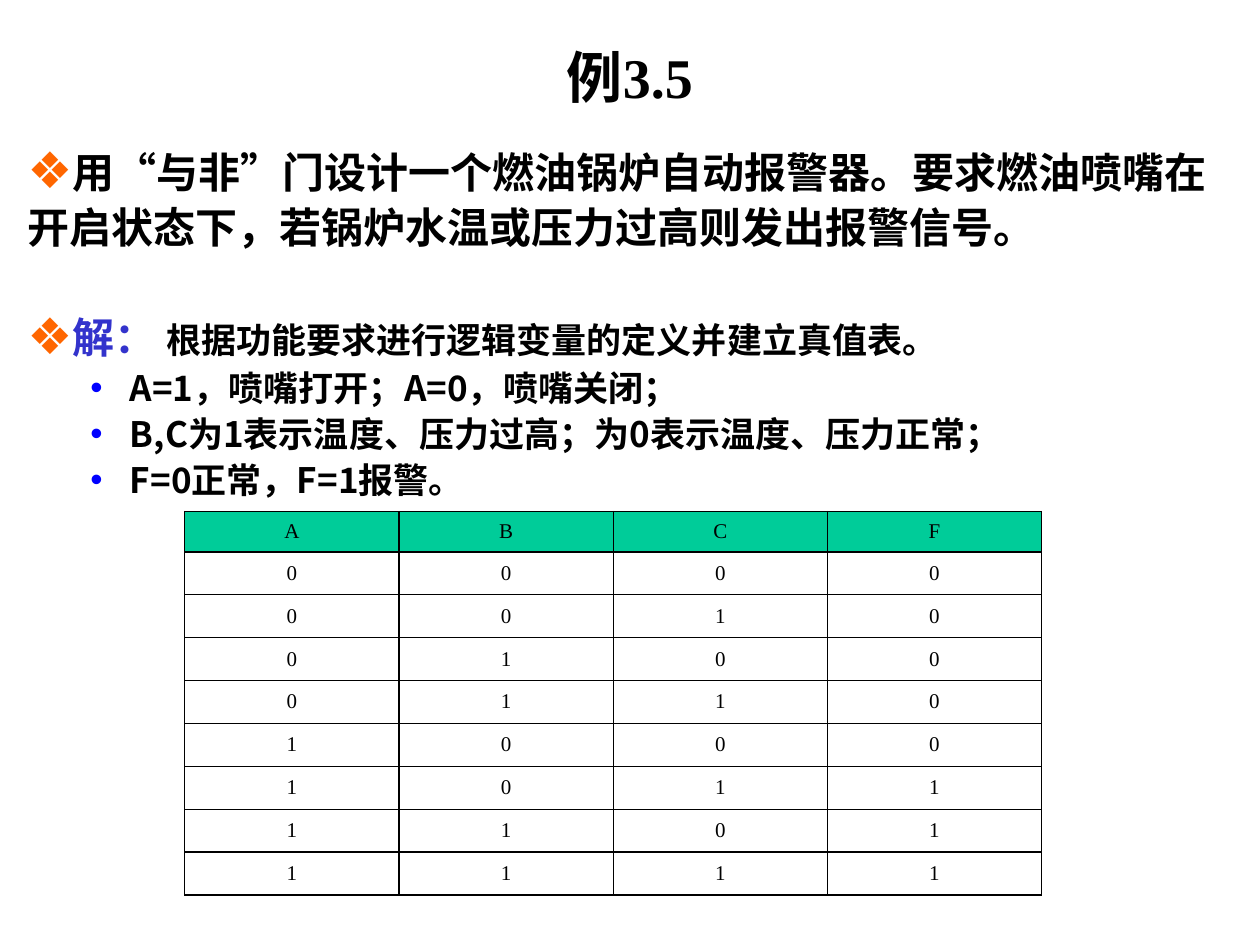
import pptx
import pptx.dml.color
import pptx.enum.text
import pptx.oxml
import pptx.oxml.ns
import pptx.util
from lxml import etree

Pt = pptx.util.Pt
Align = pptx.enum.text.PP_ALIGN
Anchor = pptx.enum.text.MSO_ANCHOR
qn = pptx.oxml.ns.qn


def color(value):
    return pptx.dml.color.RGBColor.from_string(value)


def add_text(para, text, size=20, font="Noto Sans CJK SC", fill="000000", bold=True):
    span = para.add_run()
    span.text = text
    span.font.size = Pt(size)
    span.font.name = font
    span.font.bold = bold
    span.font.color.rgb = color(fill)
    east_asian = etree.SubElement(span.font._element, qn("a:ea"))
    east_asian.set("typeface", "Noto Sans CJK SC")


class LessonSlide:
    latin = "Times New Roman"
    header_fill = "00CC99"
    ink = "000000"
    # character, colour, size in percent, left margin, first-line indent
    bullets = {0: ("❖", "FF6600", 120, 0, 0), 1: ("•", "0000FF", 100, 58.5, -22.5)}

    def __init__(self, deck):
        self.page = deck.slides.add_slide(deck.slide_layouts[1])

    def place(self, box, left, top, width, height):
        box.left, box.top, box.width, box.height = map(Pt, (left, top, width, height))
        box.text_frame.word_wrap = True
        box.text_frame.auto_size = pptx.enum.text.MSO_AUTO_SIZE.NONE

    def title(self, text, *area):
        box = self.page.shapes.title
        self.place(box, *area)
        box.text_frame.vertical_anchor = Anchor.MIDDLE
        para = box.text_frame.paragraphs[0]
        para.alignment = Align.CENTER
        add_text(para, text, size=32, font=self.latin)

    def bullet(self, para, level):
        mark, fill, percent, margin, indent = self.bullets[level]
        para.level = level
        props = para._p.get_or_add_pPr()
        props.set("marL", str(Pt(margin)))
        props.set("indent", str(Pt(indent)))
        tint = etree.SubElement(props, qn("a:buClr"))
        etree.SubElement(tint, qn("a:srgbClr")).set("val", fill)
        etree.SubElement(props, qn("a:buSzPct")).set("val", str(percent * 1000))
        etree.SubElement(props, qn("a:buChar")).set("char", mark)

    def body(self, items, *area):
        box = self.page.placeholders[1]
        self.place(box, *area)
        for index, (level, gap, spans) in enumerate(items):
            frame = box.text_frame
            para = frame.add_paragraph() if index else frame.paragraphs[0]
            para.line_spacing = 1.1
            para.space_before = Pt(gap)
            self.bullet(para, level)
            for text, style in spans:
                add_text(para, text, **style)

    def border(self, cell, side, width):
        line = etree.SubElement(cell._tc.get_or_add_tcPr(), qn("a:" + side))
        line.set("w", str(Pt(width)))
        fill = etree.SubElement(line, qn("a:solidFill"))
        etree.SubElement(fill, qn("a:srgbClr")).set("val", self.ink)

    def table(self, rows, left, top, column_width, header_height, row_height):
        count, columns = len(rows), len(rows[0])
        height = header_height + row_height * (count - 1)
        table = self.page.shapes.add_table(
            count, columns, Pt(left), Pt(top), Pt(column_width * columns), Pt(height)
        ).table
        for column in table.columns:
            column.width = Pt(column_width)
        for r, values in enumerate(rows):
            table.rows[r].height = Pt(row_height if r else header_height)
            for c, value in enumerate(values):
                cell = table.cell(r, c)
                cell.vertical_anchor = Anchor.MIDDLE
                para = cell.text_frame.paragraphs[0]
                para.alignment = Align.CENTER
                add_text(para, value, size=12, font=self.latin, bold=False)
                # Heavier rules frame the header and close the table
                self.border(cell, "lnL", 0.75)
                self.border(cell, "lnR", 0.75)
                self.border(cell, "lnT", 1 if r < 2 else 0.75)
                self.border(cell, "lnB", 1 if r in (0, count - 1) else 0.75)
                if r == 0:
                    cell.fill.solid()
                    cell.fill.fore_color.rgb = color(self.header_fill)
                else:
                    cell.fill.background()


def main():
    deck = pptx.Presentation()
    deck.slide_width, deck.slide_height = Pt(720), Pt(540)
    slide = LessonSlide(deck)

    # Heading
    slide.title("例3.5", 54, 31.5, 612, 24)

    # Problem and variable definitions
    problem = "用“与非”门设计一个燃油锅炉自动报警器。要求燃油喷嘴在开启状态下，若锅炉水温或压力过高则发出报警信号。"
    slide.body(
        [
            (0, 0, [(problem, {"size": 24})]),
            (0, 31.5, [
                ("解： ", {"size": 24, "fill": "3333CC"}),
                ("根据功能要求进行逻辑变量的定义并建立真值表。", {}),
            ]),
            (1, 0, [("A=1，喷嘴打开；A=0，喷嘴关闭；", {})]),
            (1, 0, [("B,C为1表示温度、压力过高；为0表示温度、压力正常；", {})]),
            (1, 0, [("F=0正常，F=1报警。", {})]),
        ],
        8.5, 77, 692.5, 436.5,
    )

    # Truth table: F = A(B + C)
    rows = ["ABCF"]
    for n in range(8):
        a, b, c = n >> 2, n >> 1 & 1, n & 1
        rows.append(f"{a}{b}{c}{a & (b | c)}")
    slide.table(rows, 105.6, 292.4, 122.4, 23, 24.5)

    deck.save("out.pptx")


if __name__ == "__main__":
    main()
